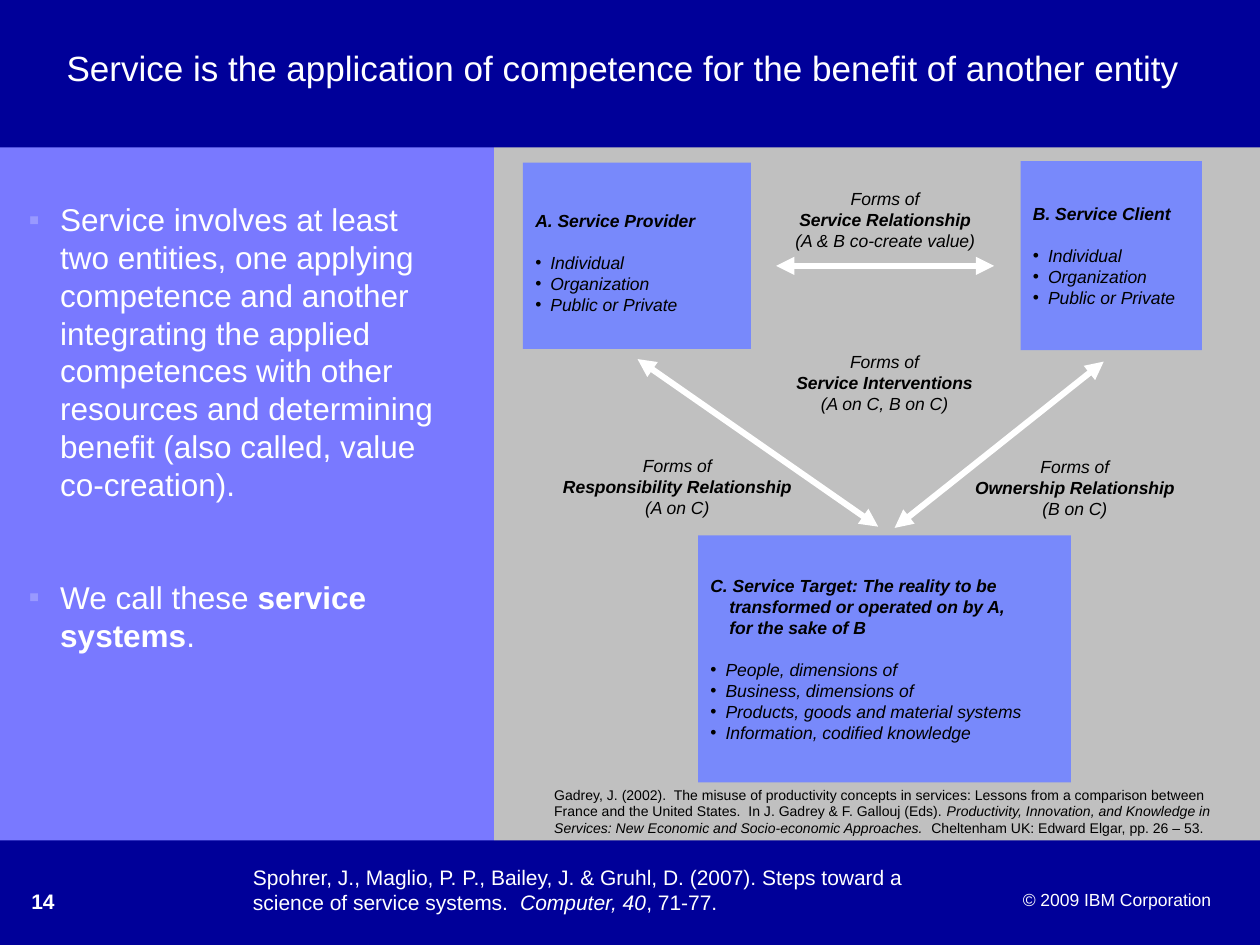
from dataclasses import dataclass
from typing import Any, NamedTuple

from lxml import etree
from pptx import Presentation
from pptx.dml.color import RGBColor
from pptx.enum.shapes import MSO_CONNECTOR, MSO_SHAPE
from pptx.enum.text import MSO_ANCHOR, PP_ALIGN
from pptx.oxml.ns import qn
from pptx.util import Inches, Pt

RECT = MSO_SHAPE.RECTANGLE
LINE = MSO_CONNECTOR.STRAIGHT
LEFT, MID, RIGHT = PP_ALIGN.LEFT, PP_ALIGN.CENTER, PP_ALIGN.RIGHT
TOP, CENTER = MSO_ANCHOR.TOP, MSO_ANCHOR.MIDDLE
NAVY = RGBColor(0x00, 0x00, 0x99)
LILAC = RGBColor(0x79, 0x79, 0xFF)
PALE = RGBColor(0x99, 0x99, 0xFF)
BLUE = RGBColor(0x78, 0x89, 0xFB)
GRAY = RGBColor(0xC0, 0xC0, 0xC0)
WHITE = RGBColor(0xFF, 0xFF, 0xFF)
BLACK = RGBColor(0x00, 0x00, 0x00)
FONT = "Arial"


class Area(NamedTuple):
    left: float
    top: float
    width: float
    height: float

    def lengths(self) -> list[int]:
        return [Inches(v) for v in self]


class Run(NamedTuple):
    text: str
    bold: bool = False
    ital: bool = False


@dataclass
class Party:
    area: Area
    title: str
    items: list[str]
    hang: float = 0.12
    space: float = 1.0


@dataclass
class Label:
    area: Area
    name: str
    note: str


class Arrow(NamedTuple):
    x1: float
    y1: float
    x2: float
    y2: float


def write(frame: Any, *runs: Run, size: float, color: RGBColor = WHITE,
          align: Any = LEFT, hang: float = 0, mark: str = "",
          tint: RGBColor = BLACK, before: float = 0, space: float = 1.0) -> None:
    para = frame.paragraphs[0]
    if para.runs:
        para = frame.add_paragraph()
    props = para._p.get_or_add_pPr()
    if hang:
        props.set("marL", str(Inches(hang)))
        props.set("indent", str(-Inches(hang)))
    if mark:
        shade = etree.SubElement(props, qn("a:buClr"))
        etree.SubElement(shade, qn("a:srgbClr"), val=str(tint))
        etree.SubElement(props, qn("a:buFont"), typeface=FONT)
        etree.SubElement(props, qn("a:buChar"), char=mark)
    para.alignment = align
    if before:
        para.space_before = Pt(before)
    if space != 1:
        para.line_spacing = space
    for run in runs:
        for num, line in enumerate(run.text.split("\n")):
            if num:
                para.add_line_break()
            part = para.add_run()
            part.text = line
            font = part.font
            font.name, font.size = FONT, Pt(size)
            font.bold, font.italic = run.bold, run.ital
            font.color.rgb = color


def text_box(slide: Any, area: Area, wrap: bool = True) -> Any:
    frame = slide.shapes.add_textbox(*area.lengths()).text_frame
    frame.word_wrap = wrap
    frame.vertical_anchor = TOP
    return frame


def block(slide: Any, area: Area, fill: RGBColor) -> Any:
    shape = slide.shapes.add_shape(RECT, *area.lengths())
    shape.shadow.inherit = False
    shape.fill.solid()
    shape.fill.fore_color.rgb = fill
    shape.line.fill.background()
    return shape


def draw_party(slide: Any, party: Party) -> None:
    frame = block(slide, party.area, BLUE).text_frame
    frame.word_wrap = True
    frame.vertical_anchor = CENTER
    write(frame, Run(party.title, True, True), size=10, color=BLACK,
          hang=party.hang, space=party.space)
    for num, item in enumerate(party.items):
        write(frame, Run(item, ital=True), size=10, color=BLACK,
              hang=0.12, mark="•", before=0 if num else 12)


def draw_label(slide: Any, label: Label) -> None:
    frame = text_box(slide, label.area, wrap=False)
    for text, bold in (("Forms of", False), (label.name, True), (label.note, False)):
        write(frame, Run(text, bold, True), size=10, color=BLACK, align=MID)


def draw_arrow(slide: Any, arrow: Arrow) -> None:
    line = slide.shapes.add_connector(LINE, *[Inches(v) for v in arrow])
    line.line.color.rgb = WHITE
    line.line.width = Pt(3.5)
    stroke = line.line._get_or_add_ln()
    for end in ("a:headEnd", "a:tailEnd"):
        etree.SubElement(stroke, qn(end), type="triangle")
    etree.SubElement(line._element.spPr, qn("a:effectLst"))


KINDS = ["Individual", "Organization", "Public or Private"]
PARTIES = [
    Party(Area(4.15, 1.29, 1.81, 1.48), "A. Service Provider", KINDS, space=1.6),
    Party(Area(5.54, 4.25, 2.96, 1.96),
          "C. Service Target: The reality to be\n"
          "transformed or operated on by A,\nfor the sake of B",
          ["People, dimensions of", "Business, dimensions of",
           "Products, goods and material systems",
           "Information, codified knowledge"], hang=0.15),
    Party(Area(8.1, 1.28, 1.44, 1.5), "B. Service Client", KINDS),
]
ARROWS = [
    Arrow(5.06, 2.85, 6.97, 4.18),
    Arrow(7.1, 4.19, 8.76, 2.87),
    Arrow(6.16, 2.11, 7.89, 2.11),
]
LABELS = [
    Label(Area(7.59, 3.57, 1.88, 0.6), "Ownership Relationship", "(B on C)"),
    Label(Area(6.16, 1.44, 1.73, 0.6), "Service Relationship", "(A & B co-create value)"),
    Label(Area(4.32, 3.56, 2.11, 0.6), "Responsibility Relationship", "(A on C)"),
    Label(Area(6.17, 2.74, 1.7, 0.6), "Service Interventions", "(A on C, B on C)"),
]


def main() -> None:
    deck = Presentation()
    deck.slide_width, deck.slide_height = Inches(10), Inches(7.5)
    slide = deck.slides.add_slide(deck.slide_layouts[6])
    slide.background.fill.solid()
    slide.background.fill.fore_color.rgb = GRAY

    block(slide, Area(0, 0.42, 3.92, 6.75), LILAC)
    block(slide, Area(0, 0, 10, 1.17), NAVY)
    block(slide, Area(0, 6.67, 10, 0.83), NAVY)
    write(text_box(slide, Area(7.91, 7.01, 1.8, 0.27)),
          Run("© 2009 IBM Corporation"), size=10, align=RIGHT)
    write(text_box(slide, Area(0.15, 7, 1.1, 0.35)), Run("14", True), size=12)
    write(text_box(slide, Area(0.43, 0.36, 9.11, 0.79)),
          Run("Service is the application of competence for the benefit of another entity"),
          size=20, space=0.9)

    body = text_box(slide, Area(0.13, 1.54, 3.47, 4.98))
    write(body, Run("Service involves at least two entities, one applying competence "
                    "and another integrating the applied competences with other "
                    "resources and determining benefit (also called, value co-creation)."),
          size=18, hang=0.25, mark="▪", tint=PALE)
    write(body, Run("We call these "), Run("service systems", True), Run("."),
          size=18, hang=0.25, mark="▪", tint=PALE, before=43)

    for party in PARTIES:
        draw_party(slide, party)
    for arrow in ARROWS:
        draw_arrow(slide, arrow)
    for label in LABELS:
        draw_label(slide, label)

    write(text_box(slide, Area(4.3, 6.19, 5.6, 0.5)),
          Run("Gadrey, J. (2002).  The misuse of productivity concepts in services: "
              "Lessons from a comparison between France and the United States.  "
              "In J. Gadrey & F. Gallouj (Eds). "),
          Run("Productivity, Innovation, and Knowledge in Services: "
              "New Economic and Socio-economic Approaches.  ", ital=True),
          Run("Cheltenham UK: Edward Elgar, pp. 26 – 53."), size=8, color=BLACK)
    write(text_box(slide, Area(1.91, 6.81, 5.46, 0.5)),
          Run("Spohrer, J., Maglio, P. P., Bailey, J. & Gruhl, D. (2007). "
              "Steps toward a science of service systems.  "),
          Run("Computer, 40", ital=True), Run(", 71-77."), size=12)
    deck.save("out.pptx")


if __name__ == "__main__":
    main()
